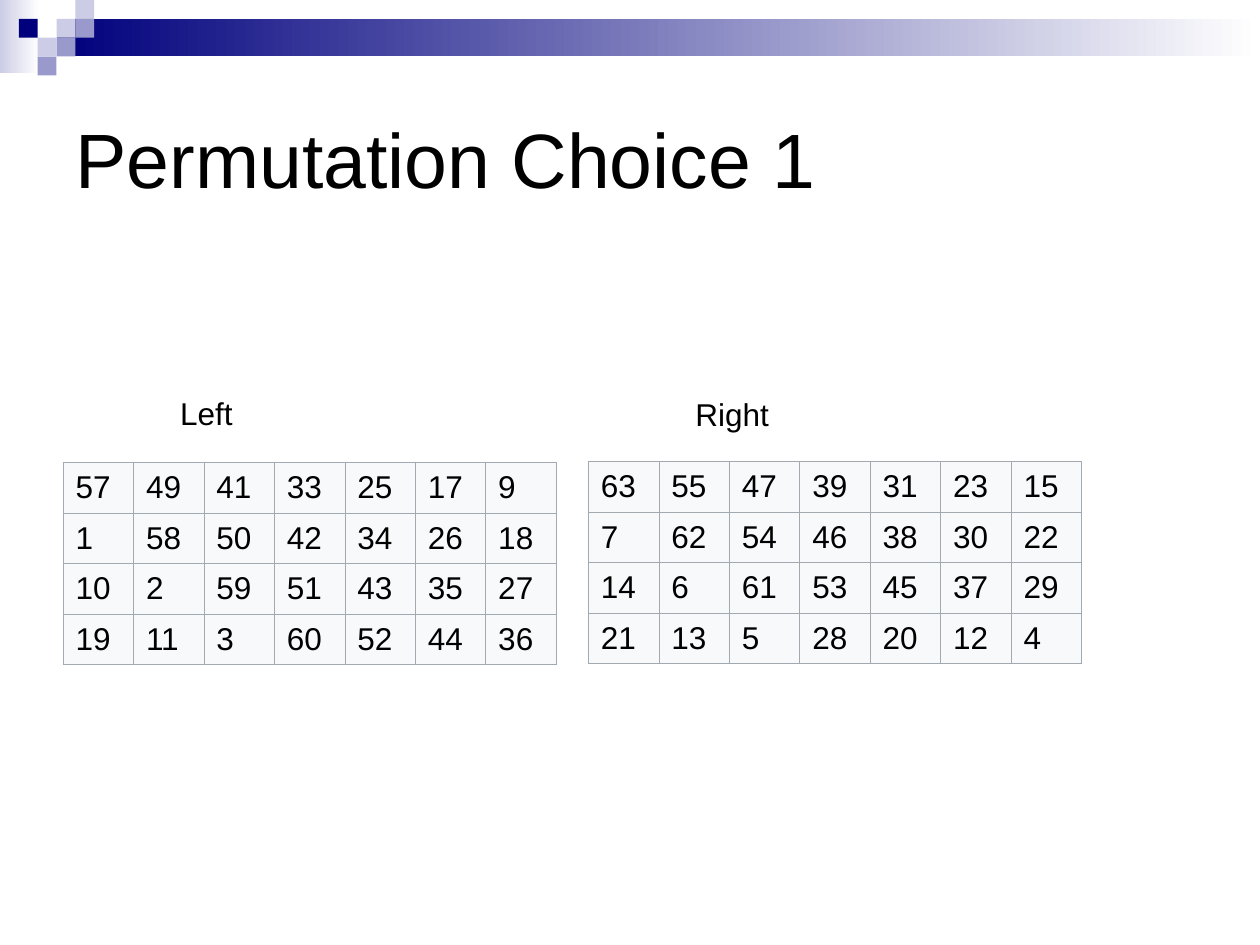
from typing import NamedTuple

from lxml import etree
from pptx import Presentation
from pptx import util as u
from pptx.dml.color import RGBColor
from pptx.enum import shapes, text
from pptx.oxml import ns

COLOURS = {
    "ink": "000000",
    "navy": "00007D",
    "lavender": "CCCCE6",
    "violet": "9999CC",
    "white": "FFFFFF",
    "cell": "F8F9FA",
    "border": "A2A9B1",
}
FONT = "Arial"
SQUARE = 0.38
COLUMN_WIDTH = 1.42
ROW_HEIGHT = 1.02
BORDER_WIDTH = u.Pt(0.34)


class Band(NamedTuple):
    left: float
    top: float
    width: float
    height: float
    colour: str


class Square(NamedTuple):
    column: int
    row: int
    colour: str


class Label(NamedTuple):
    words: str
    left: float
    top: float
    width: float
    height: float
    size: int
    anchor: text.MSO_ANCHOR


class Grid(NamedTuple):
    left: float
    top: float
    rows: tuple


BANDS = (
    Band(0, 0, 0.79, 1.47, "lavender"),
    Band(1.14, 0.38, 24.26, 0.76, "navy"),
)
SQUARES = (
    Square(3, 1, "lavender"),
    Square(4, 0, "lavender"),
    Square(4, 1, "violet"),
    Square(2, 2, "lavender"),
    Square(1, 1, "navy"),
    Square(3, 2, "violet"),
    Square(2, 3, "violet"),
)
LABELS = (
    Label("Permutation Choice 1", 1.27, 1.27, 22.86, 3.81, 44, text.MSO_ANCHOR.MIDDLE),
    Label("Left", 3.38, 7.82, 5.92, 1.02, 18, text.MSO_ANCHOR.TOP),
    Label("Right", 13.77, 7.84, 5.92, 1.02, 18, text.MSO_ANCHOR.TOP),
)
GRIDS = (
    Grid(1.27, 9.32, (
        (57, 49, 41, 33, 25, 17, 9),
        (1, 58, 50, 42, 34, 26, 18),
        (10, 2, 59, 51, 43, 35, 27),
        (19, 11, 3, 60, 52, 44, 36),
    )),
    Grid(11.86, 9.3, (
        (63, 55, 47, 39, 31, 23, 15),
        (7, 62, 54, 46, 38, 30, 22),
        (14, 6, 61, 53, 45, 37, 29),
        (21, 13, 5, 28, 20, 12, 4),
    )),
)


def colour(name: str) -> RGBColor:
    return RGBColor.from_string(COLOURS[name])


def add_rectangle(page, left: float, top: float, width: float, height: float):
    box = page.shapes.add_shape(
        shapes.MSO_SHAPE.RECTANGLE, u.Cm(left), u.Cm(top), u.Cm(width), u.Cm(height))
    box.shadow.inherit = False
    box.line.fill.background()
    return box


def add_band(page, band: Band) -> None:
    """Draw a rectangle that fades to white from left to right."""
    box = add_rectangle(page, band.left, band.top, band.width, band.height)
    box.fill.gradient()
    box.fill.gradient_angle = 0
    for stop, position, name in zip(box.fill.gradient_stops, (0, 1), (band.colour, "white")):
        stop.position = position
        stop.color.rgb = colour(name)


def add_square(page, square: Square) -> None:
    box = add_rectangle(page, square.column * SQUARE, square.row * SQUARE, SQUARE, SQUARE)
    box.fill.solid()
    box.fill.fore_color.rgb = colour(square.colour)


def add_span(para, words: str, size: int) -> None:
    span = para.add_run()
    span.text = words
    span.font.name = FONT
    span.font.size = u.Pt(size)
    span.font.color.rgb = colour("ink")


def add_label(page, label: Label) -> None:
    box = page.shapes.add_textbox(
        u.Cm(label.left), u.Cm(label.top), u.Cm(label.width), u.Cm(label.height))
    frame = box.text_frame
    frame.word_wrap = True
    frame.vertical_anchor = label.anchor
    add_span(frame.paragraphs[0], label.words, label.size)


def style_cell(cell) -> None:
    """Give a cell its thin borders, then its fill, in schema order."""
    properties = cell._tc.get_or_add_tcPr()
    for side in ("lnL", "lnR", "lnT", "lnB"):
        line = etree.SubElement(properties, ns.qn(f"a:{side}"), w=str(BORDER_WIDTH))
        fill = etree.SubElement(line, ns.qn("a:solidFill"))
        etree.SubElement(fill, ns.qn("a:srgbClr"), val=COLOURS["border"])
    cell.fill.solid()
    cell.fill.fore_color.rgb = colour("cell")
    cell.vertical_anchor = text.MSO_ANCHOR.MIDDLE


def add_grid(page, grid: Grid) -> None:
    row_count, column_count = len(grid.rows), len(grid.rows[0])
    table = page.shapes.add_table(
        row_count, column_count, u.Cm(grid.left), u.Cm(grid.top),
        u.Cm(column_count * COLUMN_WIDTH), u.Cm(row_count * ROW_HEIGHT)).table
    table.first_row = table.horz_banding = False
    for column in table.columns:
        column.width = u.Cm(COLUMN_WIDTH)
    for row, numbers in zip(table.rows, grid.rows):
        row.height = u.Cm(ROW_HEIGHT)
        for cell, number in zip(row.cells, numbers):
            style_cell(cell)
            add_span(cell.text_frame.paragraphs[0], str(number), 18)


def main() -> None:
    deck = Presentation()
    deck.slide_width, deck.slide_height = u.Cm(25.4), u.Cm(19.05)
    page = deck.slides.add_slide(deck.slide_layouts[6])
    title, *captions = LABELS
    for band in BANDS:
        add_band(page, band)
    for square in SQUARES:
        add_square(page, square)
    add_label(page, title)
    for grid in GRIDS:
        add_grid(page, grid)
    for caption in captions:
        add_label(page, caption)
    deck.save("out.pptx")


if __name__ == "__main__":
    main()
